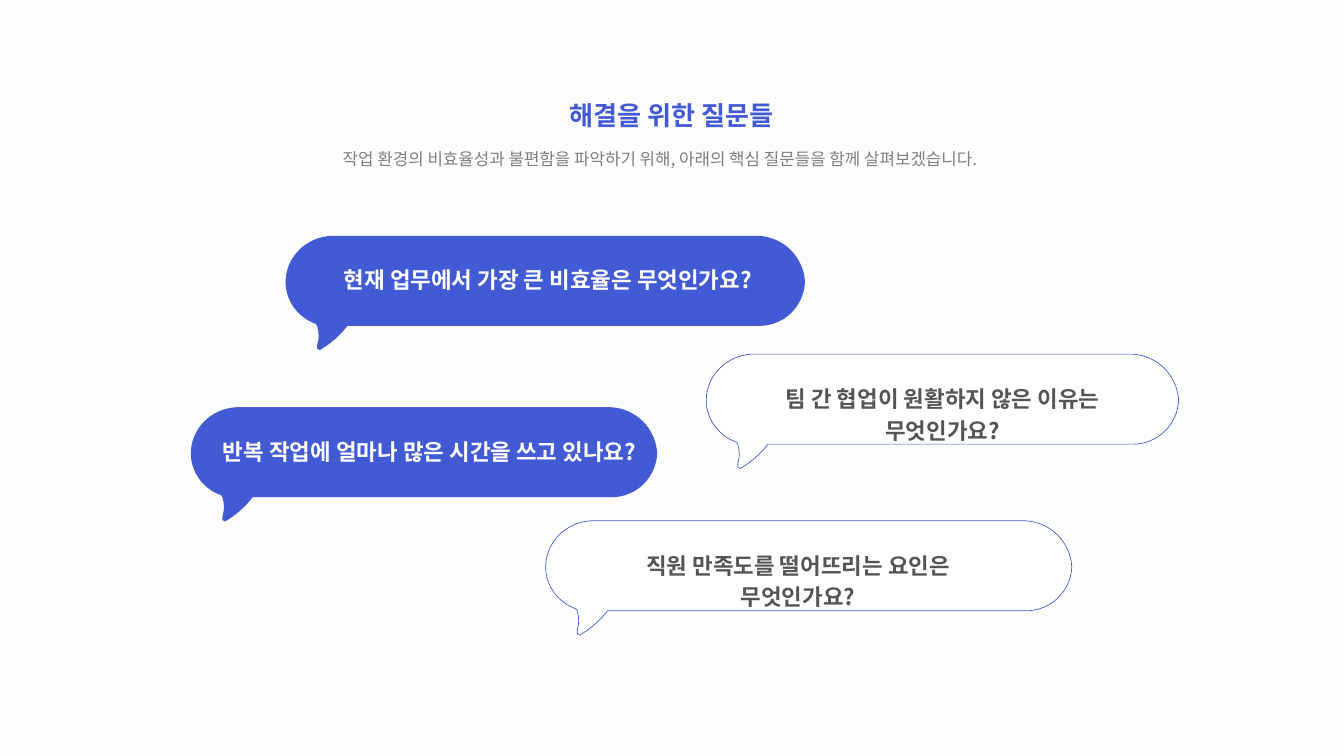
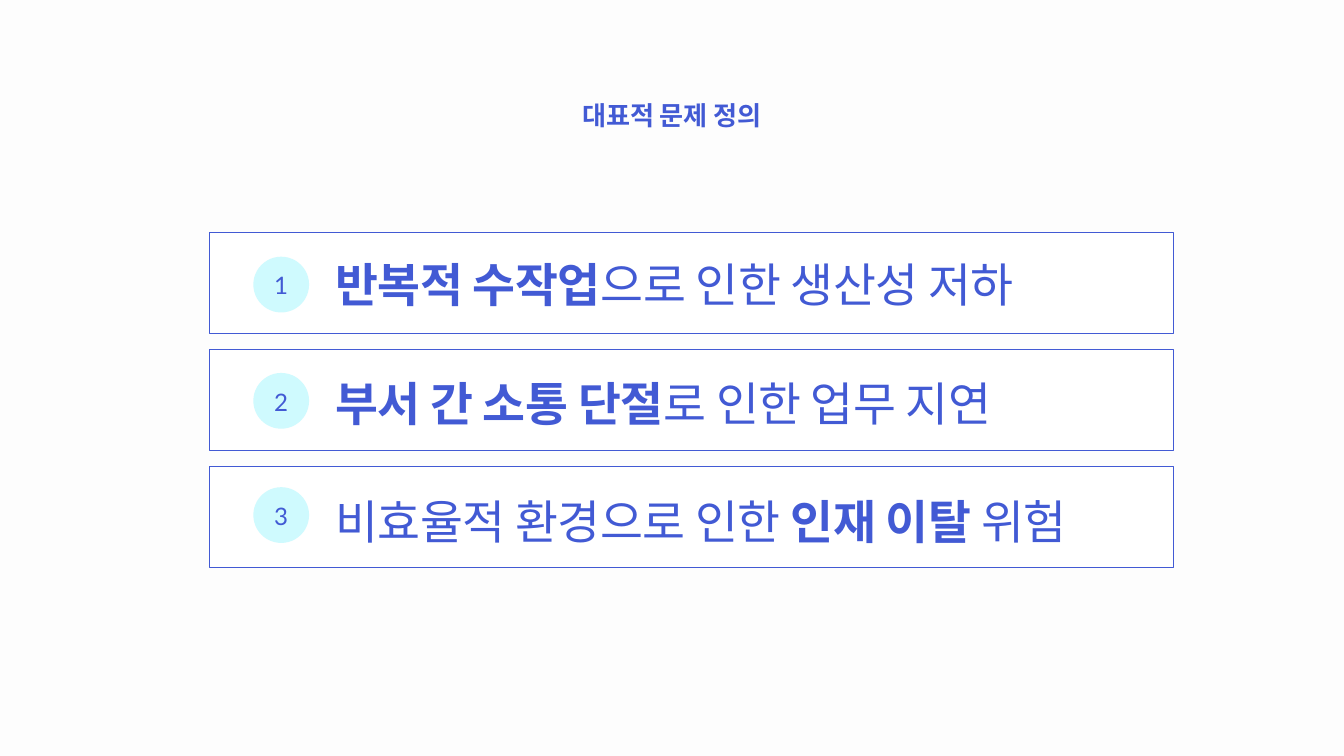
"""Build two Korean slides: key questions in speech bubbles and core problems in rows."""
from lxml.etree import SubElement
from pptx import Presentation
from pptx.dml.color import RGBColor as Rgb
from pptx.enum.shapes import MSO_SHAPE as Kind
from pptx.enum.text import MSO_ANCHOR as Anchor, MSO_AUTO_SIZE as Fit, PP_ALIGN as Align
from pptx.oxml.ns import qn
from pptx.util import Inches, Pt

HUES = {"blue": "425AD4", "white": "FFFFFF", "dark": "555555",
        "gray": "7F7F7F", "cyan": "CFFAFE", "back": "FDFDFD"}
SANS, LATO = "Noto Sans CJK KR", "Lato"

deck = Presentation()
deck.slide_width, deck.slide_height = Inches(20), Inches(11.25)
col, row = deck.slide_width / 20, deck.slide_height / 11.25
ground = deck.slide_master.background.fill
ground.solid()
ground.fore_color.rgb = Rgb.from_string(HUES["back"])


def write(shape, parts, size, hue, lead, align=Align.CENTER, face=SANS, gap=0):
    """Fill a shape with one paragraph made of (text, bold) parts."""
    frame = shape.text_frame
    frame.auto_size, frame.word_wrap, frame.vertical_anchor = Fit.NONE, True, Anchor.TOP
    frame.margin_left = frame.margin_right = frame.margin_top = frame.margin_bottom = 0
    para = frame.paragraphs[0]
    para.alignment, para.line_spacing = align, Pt(lead)
    font = para.font
    font.name, font.size = face, Pt(size)
    font.color.rgb = Rgb.from_string(HUES[hue])
    SubElement(font._rPr, qn("a:ea"), typeface=face)
    if gap:
        font._rPr.set("spc", str(gap))
    if len(parts) == 1:
        font.bold = parts[0][1]
    for text, bold in parts:
        run = para.add_run()
        run.text = text
        if len(parts) > 1:
            run.font.bold = bold


def paint(shape, fill, line=None):
    """Give a shape a flat fill and an optional thin line."""
    shape.shadow.inherit = False
    shape.fill.solid()
    shape.fill.fore_color.rgb = Rgb.from_string(HUES[fill])
    if line:
        shape.line.color.rgb = Rgb.from_string(HUES[line])
        shape.line.width = Pt(0.75)
    else:
        shape.line.fill.background()


pages = []
for name, left, wide in [("해결을 위한 질문들", 7.23, 5.53), ("대표적 문제 정의", 6.29, 7.42)]:
    page = deck.slides.add_slide(deck.slide_layouts[5])
    title = page.shapes.title
    title.left, title.top = int(left * col), int(1.4 * row)
    title.width, title.height = int(wide * col), int(0.54 * row)
    write(title, [(name, True)], 28, "blue", 39.2)
    pages.append(page.shapes)
asks, woes = pages

bubbles = [
    (4.25, 3.51, 7.73, 4.52, 7.26, True, "현재 업무에서 가장 큰 비효율은 무엇인가요?"),
    (10.51, 5.27, 7.03, 10.97, 6.11, False, "팀 간 협업이 원활하지 않은 이유는 무엇인가요?"),
    (2.84, 6.06, 6.94, 3.25, 6.11, True, "반복 작업에 얼마나 많은 시간을 쓰고 있나요?"),
    (8.12, 7.75, 7.83, 8.82, 6.11, False, "직원 만족도를 떨어뜨리는 요인은 무엇인가요?"),
]
for left, top, wide, inset, span, solid, ask in bubbles:
    moves = [
        [(wide - 0.31, 0.02), (wide - 0.02, 0.32), (wide, 0.69)],
        [(wide - 0.02, 1.05), (wide - 0.31, 1.34), (wide - 0.68, 1.34)],
        [(0.92, 1.34)],
        [(0.83, 1.46), (0.72, 1.56), (0.59, 1.65)],
        [(0.51, 1.7)],
        [(0.47, 1.7), (0.46, 1.67), (0.47, 1.63)],
        [(0.5, 1.53), (0.5, 1.44), (0.47, 1.34)],
        [(0.45, 1.31)],
        [(0.19, 1.22), (0, 0.97), (0, 0.69)],
        [(0, 0.32), (0.3, 0.02), (0.68, 0)],
    ]
    dots = [(round((left + x) * col), round((top + y) * row)) for move in moves for x, y in move]
    pen = asks.build_freeform(round((left + wide - 0.69) * col), round(top * row))
    pen.add_line_segments(dots, close=True)
    bubble = pen.convert_to_shape()
    lines = iter(list(bubble._element.iter(qn("a:lnTo"))))
    for move in moves:
        head, *rest = [next(lines) for dot in move]
        if rest:
            head.tag = qn("a:cubicBezTo")
        for line in rest:
            head.append(line[0])
            line.getparent().remove(line)
    paint(bubble, *(("blue",) if solid else ("white", "blue")))
    drop = 0.39 if solid else 0.4
    box = asks.add_textbox(int(inset * col), int((top + drop) * row), int(span * col), int(0.45 * row))
    write(box, [(ask, True)], 24, "white" if solid else "dark", 33.6)

lead = asks.add_textbox(int(4.49 * col), int(2.12 * row), int(10.66 * col), int(0.37 * row))
write(lead, [("작업 환경의 비효율성과 불편함을 파악하기 위해, 아래의 핵심 질문들을 함께 살펴보겠습니다.", False)],
      18, "gray", 27.9)

issues = [
    (3.82, 3.67, [("반복적 수작업", True), ("으로 인한 생산성 저하", False)]),
    (5.55, 5.44, [("부서 간 소통 단절", True), ("로 인한 업무 지연", False)]),
    (7.25, 7.19, [("비효율적 환경으로 인한 ", False), ("인재 이탈", True), (" 위험", False)]),
]
for rank, (high, base, parts) in enumerate(issues):
    card = woes.add_shape(Kind.RECTANGLE, int(3.12 * col), int((3.46 + 1.74 * rank) * row),
                          int(14.34 * col), int(1.5 * row))
    paint(card, "white", "blue")
    disc = woes.add_shape(Kind.OVAL, int(3.77 * col), int(high * row), int(0.83 * col), int(0.83 * row))
    paint(disc, "cyan")
    digit = woes.add_textbox(int(3.83 * col), int((high + 0.14) * row), int(0.71 * col), int(0.49 * row))
    write(digit, [(str(rank + 1), False)], 25.8, "blue", 36.1, face=LATO)
    label = woes.add_textbox(int(4.99 * col), int(base * row), int(11.6 * col), int(0.94 * row))
    write(label, parts, 50, "blue", 70, align=Align.LEFT, gap=-50)

deck.save("out.pptx")
